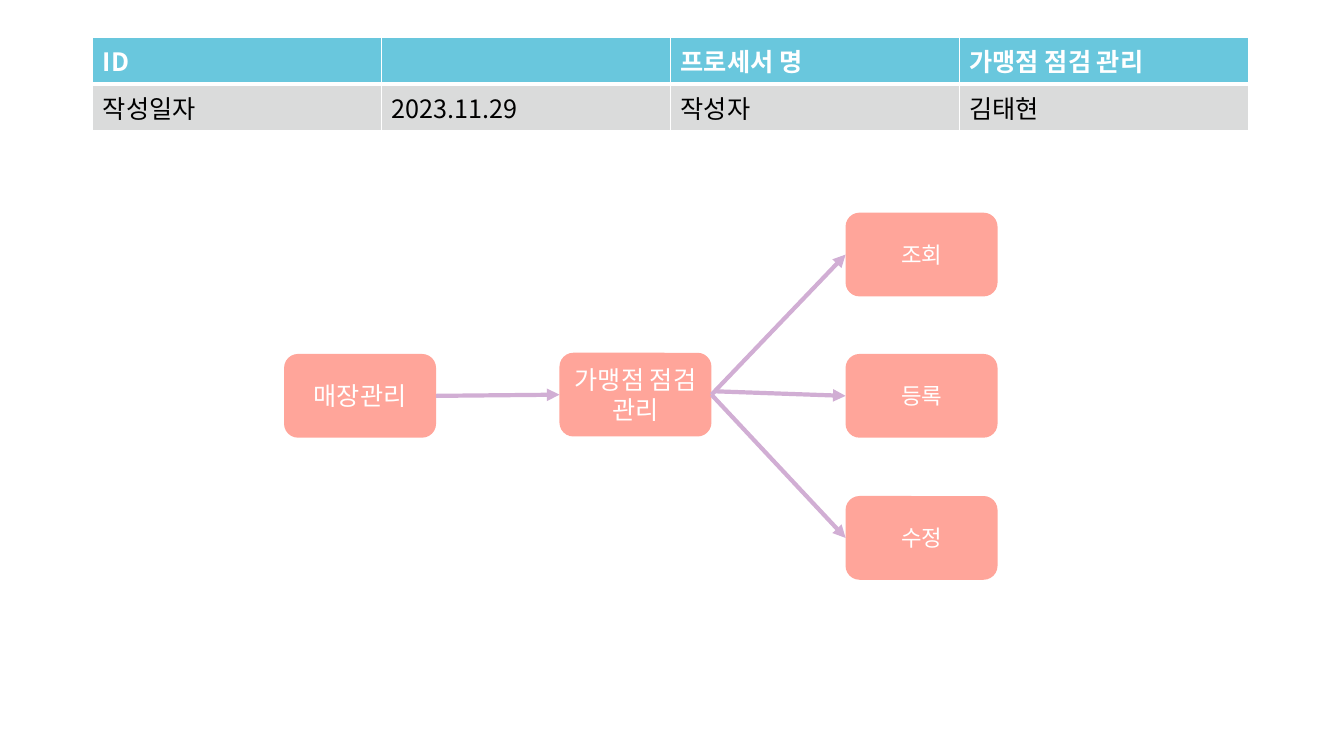
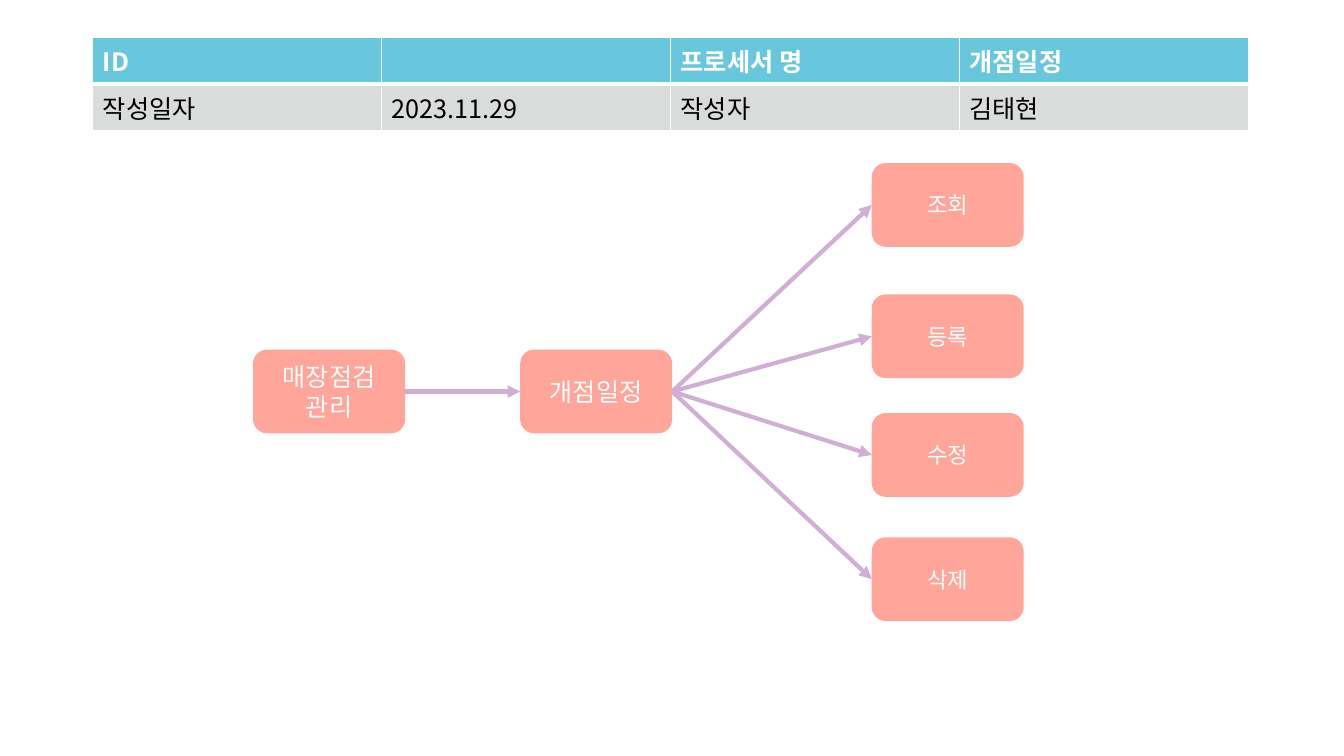
from dataclasses import dataclass
from typing import Optional

from pptx import Presentation
from pptx.dml.color import RGBColor
from pptx.enum.shapes import MSO_CONNECTOR, MSO_SHAPE
from pptx.enum.text import MSO_ANCHOR, PP_ALIGN
from pptx.oxml.ns import qn
from pptx.shapes.autoshape import Shape
from pptx.slide import Slide
from pptx.table import _Cell
from pptx.text.text import _Paragraph
from pptx.util import Cm, Pt
from lxml import etree

ROUNDED = MSO_SHAPE.ROUNDED_RECTANGLE
STRAIGHT = MSO_CONNECTOR.STRAIGHT
MIDDLE = MSO_ANCHOR.MIDDLE
CENTER = PP_ALIGN.CENTER
LEFT_SITE, RIGHT_SITE = 1, 3


@dataclass(frozen=True)
class Theme:
    font: str = "Noto Sans CJK KR"
    white: str = "FFFFFF"
    black: str = "000000"
    header: str = "69C7DD"
    body: str = "DADBDB"
    box: str = "FFA59A"
    arrow: str = "D1AED4"
    large: int = 18
    small: int = 16
    arrow_width: int = 3
    thin_border: int = 1
    thick_border: int = 3


@dataclass(frozen=True)
class Box:
    lines: tuple[str, ...]
    left: float
    top: float
    arrow_start: Optional[tuple[float, float]] = None


@dataclass(frozen=True)
class Process:
    name: str
    parent: Box
    function: Box
    actions: tuple[Box, ...]


THEME = Theme()
BOX_WIDTH, BOX_HEIGHT = 3.83, 2.11
TABLE_LEFT, TABLE_TOP = 2.34, 0.95
COLUMN_WIDTH = 7.28
ROW_HEIGHTS = (1.09, 1.04)

PROCESSES = (
    Process(
        "가맹점 점검 관리",
        Box(("매장관리",), 7.16, 8.92),
        Box(("가맹점 점검 관리",), 14.1, 8.89),
        (
            Box(("조회",), 21.31, 5.36),
            Box(("등록",), 21.31, 8.92, arrow_start=(18.01, 9.86)),
            Box(("수정",), 21.31, 12.5),
        ),
    ),
    Process(
        "개점일정",
        Box(("매장점검", "관리"), 6.38, 8.81),
        Box(("개점일정",), 13.11, 8.81),
        (
            Box(("조회",), 21.97, 4.11),
            Box(("등록",), 21.97, 7.42),
            Box(("수정",), 21.97, 10.41),
            Box(("삭제",), 21.97, 13.54),
        ),
    ),
)


def color(value: str) -> RGBColor:
    return RGBColor.from_string(value)


def add_run(paragraph: _Paragraph, text: str, size: int, text_color: str, bold: bool = False) -> None:
    run = paragraph.add_run()
    run.text = text
    run.font.size = Pt(size)
    run.font.bold = bold
    run.font.color.rgb = color(text_color)
    run.font.name = THEME.font
    properties = run.font._element
    etree.SubElement(properties, qn("a:ea"), typeface=THEME.font)


def set_borders(cell: _Cell, top: int, bottom: int) -> None:
    properties = cell._tc.get_or_add_tcPr()
    thin = THEME.thin_border
    for side, width in (("L", thin), ("R", thin), ("T", top), ("B", bottom)):
        border = etree.SubElement(properties, qn(f"a:ln{side}"), w=str(Pt(width)))
        fill = etree.SubElement(border, qn("a:solidFill"))
        etree.SubElement(fill, qn("a:srgbClr"), val=THEME.white)


def add_header_table(slide: Slide, process_name: str) -> None:
    rows = (
        ("ID", "", "프로세서 명", process_name),
        ("작성일자", "2023.11.29", "작성자", "김태현"),
    )
    columns = len(rows[0])
    table = slide.shapes.add_table(
        len(rows), columns, Cm(TABLE_LEFT), Cm(TABLE_TOP),
        Cm(COLUMN_WIDTH * columns), Cm(sum(ROW_HEIGHTS)),
    ).table
    for column in table.columns:
        column.width = Cm(COLUMN_WIDTH)
    for row_index, texts in enumerate(rows):
        table.rows[row_index].height = Cm(ROW_HEIGHTS[row_index])
        is_header = row_index == 0
        text_color = THEME.white if is_header else THEME.black
        borders = (THEME.thin_border, THEME.thick_border)
        for column_index, text in enumerate(texts):
            cell = table.cell(row_index, column_index)
            set_borders(cell, *(borders if is_header else borders[::-1]))
            cell.fill.solid()
            cell.fill.fore_color.rgb = color(THEME.header if is_header else THEME.body)
            if text:
                add_run(cell.text_frame.paragraphs[0], text, THEME.large, text_color, is_header)


def add_box(slide: Slide, box: Box, size: int) -> Shape:
    shape = slide.shapes.add_shape(
        ROUNDED, Cm(box.left), Cm(box.top), Cm(BOX_WIDTH), Cm(BOX_HEIGHT)
    )
    shape.shadow.inherit = False
    shape.fill.solid()
    shape.fill.fore_color.rgb = color(THEME.box)
    shape.line.fill.background()
    frame = shape.text_frame
    frame.word_wrap = True
    frame.vertical_anchor = MIDDLE
    for index, line in enumerate(box.lines):
        paragraph = frame.add_paragraph() if index else frame.paragraphs[0]
        paragraph.alignment = CENTER
        add_run(paragraph, line, size, THEME.white)
    return shape


def add_arrow(slide: Slide, source: Shape, target: Shape,
              start: Optional[tuple[float, float]] = None) -> None:
    """Join the right side of source, or the given start, to the left side of target."""
    begin_x, begin_y = start or (0, 0)
    arrow = slide.shapes.add_connector(STRAIGHT, Cm(begin_x), Cm(begin_y), target.left, target.top)
    if start is None:
        arrow.begin_connect(source, RIGHT_SITE)
    arrow.end_connect(target, LEFT_SITE)
    arrow.line.color.rgb = color(THEME.arrow)
    arrow.line.width = Pt(THEME.arrow_width)
    etree.SubElement(arrow.line._get_or_add_ln(), qn("a:tailEnd"), type="triangle")
    etree.SubElement(arrow._element.spPr, qn("a:effectLst"))


def add_process_slide(presentation: Presentation, process: Process) -> None:
    slide = presentation.slides.add_slide(presentation.slide_layouts[6])
    add_header_table(slide, process.name)
    parent = add_box(slide, process.parent, THEME.large)
    function = add_box(slide, process.function, THEME.large)
    add_arrow(slide, parent, function)
    for action in process.actions:
        target = add_box(slide, action, THEME.small)
        add_arrow(slide, function, target, action.arrow_start)


def main() -> None:
    presentation = Presentation()
    presentation.slide_width = Cm(33.87)
    presentation.slide_height = Cm(19.05)
    for process in PROCESSES:
        add_process_slide(presentation, process)
    presentation.save("out.pptx")


if __name__ == "__main__":
    main()
